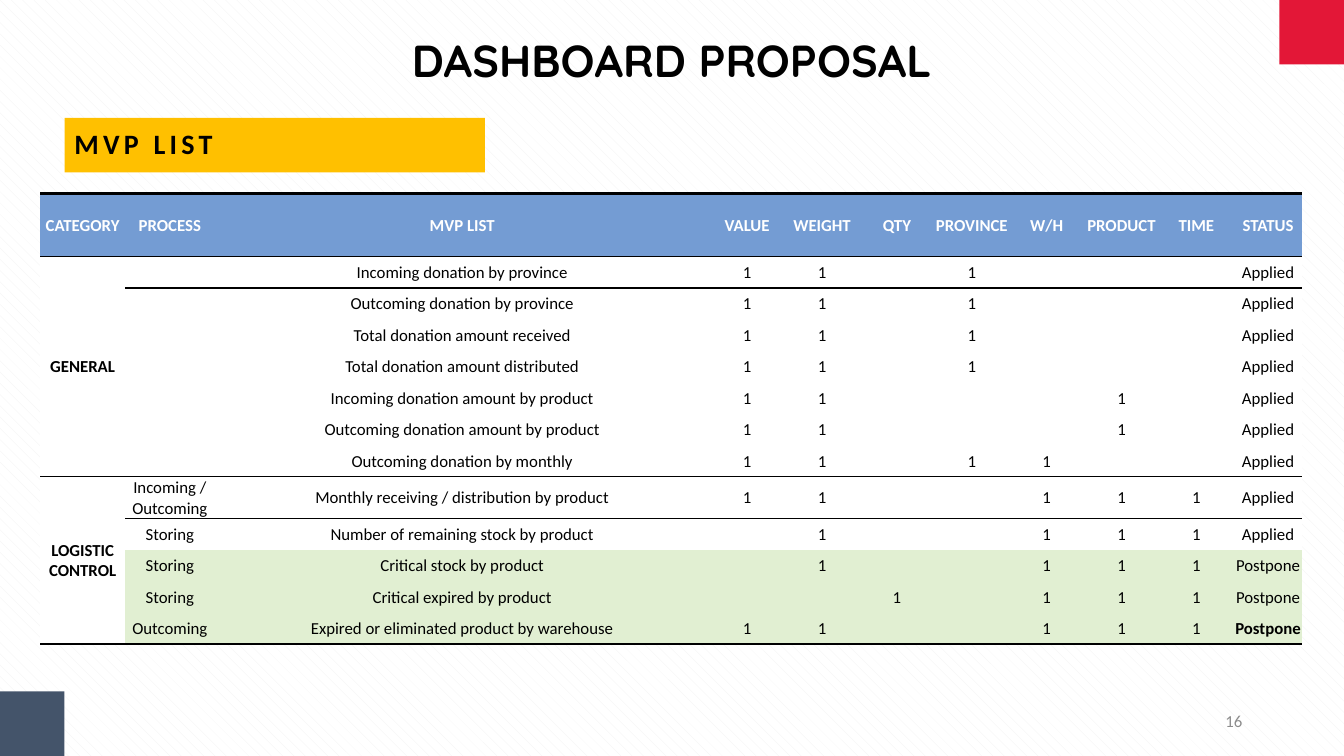
from dataclasses import dataclass

from lxml.etree import SubElement
from pptx import Presentation
from pptx.dml.color import RGBColor
from pptx.enum.dml import MSO_PATTERN
from pptx.enum.shapes import MSO_SHAPE
from pptx.enum.text import MSO_ANCHOR, MSO_AUTO_SIZE, PP_ALIGN
from pptx.oxml.ns import qn
from pptx.util import Inches, Pt


@dataclass(frozen=True)
class Theme:
    black: str = "000000"
    white: str = "FFFFFF"
    hatch: str = "F2F2F2"
    red: str = "E31737"
    slate: str = "44546A"
    amber: str = "FFC000"
    header: str = "749CD3"
    postponed: str = "E1EFD2"
    grey: str = "8C8C8C"
    body_font: str = "Calibri"
    title_font: str = "Quicksand"
    title_size: int = 32
    label_size: int = 20
    text_size: int = 12


THEME = Theme()
WIDTH, HEIGHT = 13.33, 7.5
ROW = HEIGHT / 24  # one table row
CORNER = 0.64  # side of the corner squares, also the label's left edge
THIN, THICK = 1, 2  # rule widths in points
NO_GRID_STYLE = "{2D5ABB26-0587-4C30-8999-92F81FD0307C}"

# Table contents
DIMENSIONS = ["VALUE", "WEIGHT", "QTY", "PROVINCE", "W/H", "PRODUCT", "TIME"]
HEADINGS = ["CATEGORY", "PROCESS", "MVP LIST", *DIMENSIONS, "STATUS"]
# Each entry: process, item, one mark per dimension, status
GROUPS = {
    "GENERAL": [
        ("", "Incoming donation by province", "11-1---", "Applied"),
        ("", "Outcoming donation by province", "11-1---", "Applied"),
        ("", "Total donation amount received", "11-1---", "Applied"),
        ("", "Total donation amount distributed", "11-1---", "Applied"),
        ("", "Incoming donation amount by product", "11---1-", "Applied"),
        ("", "Outcoming donation amount by product", "11---1-", "Applied"),
        ("", "Outcoming donation by monthly", "11-11--", "Applied"),
    ],
    "LOGISTIC CONTROL": [
        ("Incoming / Outcoming", "Monthly receiving / distribution by product", "11--111", "Applied"),
        ("Storing", "Number of remaining stock by product", "-1--111", "Applied"),
        ("Storing", "Critical stock by product", "-1--111", "Postpone"),
        ("Storing", "Critical expired by product", "--1-111", "Postpone"),
        ("Outcoming", "Expired or eliminated product by warehouse", "11--111", "Postpone"),
    ],
}


def rgb(code):
    return RGBColor.from_string(code)


def place(shape, left, top, width, height):
    shape.left, shape.top = Inches(left), Inches(top)
    shape.width, shape.height = Inches(width), Inches(height)


def write(frame, words, size, color, align, bold=False, font=THEME.body_font):
    frame.text = words
    frame.vertical_anchor = MSO_ANCHOR.MIDDLE
    para = frame.paragraphs[0]
    para.alignment = align
    para.font.name, para.font.size, para.font.bold = font, Pt(size), bold
    para.font.color.rgb = rgb(color)
    return para


def add_block(page, left, top, width, height, color):
    block = page.shapes.add_shape(
        MSO_SHAPE.RECTANGLE, Inches(left), Inches(top), Inches(width), Inches(height))
    block.shadow.inherit = False
    block.fill.solid()
    block.fill.fore_color.rgb = rgb(color)
    block.line.fill.background()
    return block


def add_title(page, words):
    title = page.shapes.title
    place(title, 0.12 * WIDTH, 0.32, 0.76 * WIDTH, 0.54)
    frame = title.text_frame
    frame.margin_left = frame.margin_right = frame.margin_top = frame.margin_bottom = 0
    frame.auto_size = MSO_AUTO_SIZE.SHAPE_TO_FIT_TEXT
    write(frame, words, THEME.title_size, THEME.black, PP_ALIGN.CENTER, True, THEME.title_font)


def add_label(page, words):
    label = add_block(page, CORNER, 1.17, 4.17, 0.54, THEME.amber)
    para = write(label.text_frame, words, THEME.label_size, THEME.black, PP_ALIGN.LEFT, True)
    para.line_spacing = 0.9
    para.runs[0].font._element.set("spc", "300")


def add_page_number(page, number):
    box = page.shapes.add_textbox(Inches(9.42), Inches(6.95), Inches(3), Inches(0.4))
    box.text_frame.word_wrap = True
    write(box.text_frame, number, THEME.text_size, THEME.grey, PP_ALIGN.RIGHT)


def add_rule(cell, side, points):
    rule = SubElement(cell._tc.get_or_add_tcPr(), qn(f"a:ln{side}"), w=str(Pt(points)))
    fill = SubElement(rule, qn("a:solidFill"))
    SubElement(fill, qn("a:srgbClr"), val=THEME.black)


def fill_cell(cell, words, fill, color=THEME.black, bold=False, top=None, bottom=None):
    cell.margin_left = cell.margin_right = cell.margin_top = Inches(0.01)
    cell.margin_bottom = 0
    para = write(cell.text_frame, words, THEME.text_size, color, PP_ALIGN.CENTER, bold)
    cell.vertical_anchor = MSO_ANCHOR.MIDDLE
    if not words:  # keeps empty cells from stretching the row
        SubElement(para._p, qn("a:endParaRPr"), sz=str(THEME.text_size * 100))
    for side, points in (("T", top), ("B", bottom)):
        if points:
            add_rule(cell, side, points)
    cell.fill.solid()
    cell.fill.fore_color.rgb = rgb(fill)


def add_group(table, first, category, entries, closing):
    last = first + len(entries) - 1
    for row, (process, item, marks, status) in enumerate(entries, first):
        top = THIN if row == first else None
        bottom = closing if row == last else top
        fill = THEME.postponed if status == "Postpone" else THEME.white
        counts = [mark.replace("-", "") for mark in marks]
        for column, words in enumerate([process, item, *counts, status], 1):
            is_final = row == len(table.rows) - 1 and column == len(HEADINGS) - 1
            fill_cell(table.cell(row, column), words, fill, bold=is_final, top=top, bottom=bottom)
        # Lower cells of the merged category column
        if row > first:
            fill_cell(table.cell(row, 0), "", THEME.white, bottom=closing if row == last else None)
    head = table.cell(first, 0)
    fill_cell(head, category, THEME.white, bold=True, top=THIN, bottom=closing)
    head.merge(table.cell(last, 0))
    return last + 1


def add_mvp_table(page):
    total, category, process, item, status = 12.52, 0.84, 0.89, 4.91, 0.68
    dimension = (total - category - process - item - status) / len(DIMENSIONS)
    widths = [category, process, item, *[dimension] * len(DIMENSIONS), status]
    row_count = 1 + sum(len(entries) for entries in GROUPS.values())

    table = page.shapes.add_table(
        row_count, len(widths), Inches(0.4), Inches(1.92),
        Inches(total), Inches(ROW * (row_count + 1))).table
    table.horz_banding = False
    table._tbl.tblPr.find(qn("a:tableStyleId")).text = NO_GRID_STYLE
    for column, width in zip(table.columns, widths):
        column.width = Inches(width)
    for index, row in enumerate(table.rows):
        row.height = Inches(ROW if index else 2 * ROW)

    for column, heading in enumerate(HEADINGS):
        fill_cell(table.cell(0, column), heading, THEME.header, THEME.white, True, THICK, THIN)
    first = 1
    for (name, entries), closing in zip(GROUPS.items(), (THIN, THICK)):
        first = add_group(table, first, name, entries, closing)


def main():
    deck = Presentation()
    deck.slide_width, deck.slide_height = Inches(WIDTH), Inches(HEIGHT)
    page = deck.slides.add_slide(deck.slide_layouts[5])

    # Hatched background
    backdrop = page.background.fill
    backdrop.patterned()
    backdrop.pattern = MSO_PATTERN.SHINGLE
    backdrop.fore_color.rgb, backdrop.back_color.rgb = rgb(THEME.hatch), rgb(THEME.white)

    # Corner squares
    add_block(page, WIDTH - CORNER, 0, CORNER, CORNER, THEME.red)
    add_block(page, 0, HEIGHT - CORNER, CORNER, CORNER, THEME.slate)

    # Content
    add_page_number(page, "16")
    add_title(page, "DASHBOARD PROPOSAL")
    add_label(page, "MVP LIST")
    add_mvp_table(page)
    deck.save("out.pptx")


if __name__ == "__main__":
    main()
